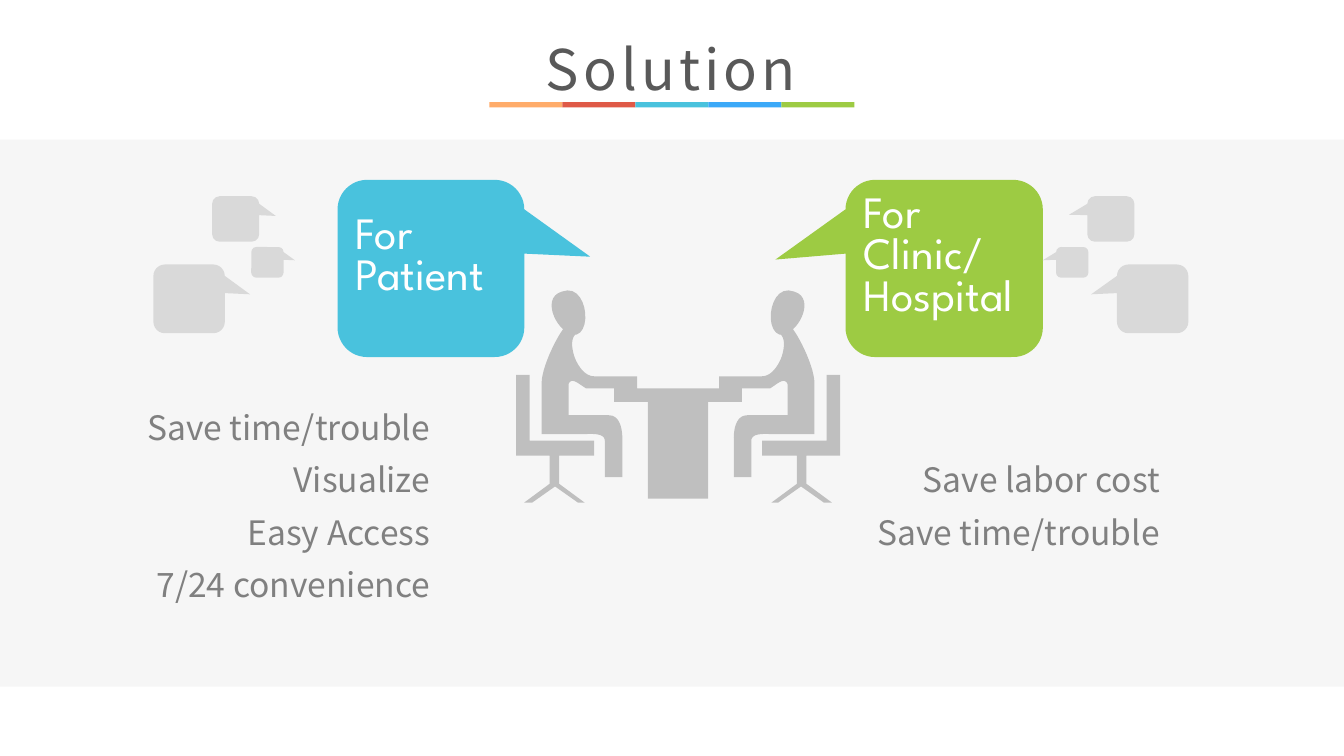
from dataclasses import dataclass

from pptx import Presentation
from pptx.dml.color import RGBColor
from pptx.enum.shapes import MSO_SHAPE as Preset
from pptx.enum.text import MSO_ANCHOR as Anchor, MSO_AUTO_SIZE as AutoSize, PP_ALIGN as Align
from pptx.shapes.autoshape import Shape
from pptx.slide import Slide
from pptx.text.text import TextFrame
from pptx.util import Cm, Pt

WHITE = RGBColor(0xFF, 0xFF, 0xFF)
BAND_GRAY = RGBColor(0xF6, 0xF6, 0xF6)
BUBBLE_GRAY = RGBColor(0xD9, 0xD9, 0xD9)
FIGURE_GRAY = RGBColor(0xBF, 0xBF, 0xBF)
TITLE_GRAY = RGBColor(0x59, 0x59, 0x59)
BODY_GRAY = RGBColor(0x80, 0x80, 0x80)
ORANGE = RGBColor(0xFF, 0xAC, 0x6A)
RED = RGBColor(0xDF, 0x59, 0x47)
TEAL = RGBColor(0x49, 0xC2, 0xDD)
BLUE = RGBColor(0x3B, 0xA9, 0xF8)
GREEN = RGBColor(0x9D, 0xCB, 0x43)

SLIDE_WIDTH = 25.4
STRIPE_WIDTH = 1.38
STRIPE_COLORS = (ORANGE, RED, TEAL, BLUE, GREEN)

Point = tuple[float, float]
OUTLINE_UNIT = Cm(2.54) / 100
MIRROR_SUM = 1009
CURVE_STEPS = 12

CHAIR = [
    (384, 279), (394, 279), (394, 328), (442, 328), (442, 339), (416, 339),
    (416, 360), (435, 374), (430, 374), (413, 362), (396, 374), (390, 374),
    (409, 360), (409, 339), (384, 339),
]
PERSON_AND_HALF_TABLE = [
    (474, 289), (474, 280), (442, 280),
    (436, 280, 431, 274, 428, 267), (426, 262, 424, 253, 428, 249), (429, 249),
    (441, 245, 436, 210, 418, 217), (405, 221, 411, 238, 419, 245),
    (413, 253, 403, 274, 403, 285), (403, 323), (435, 323),
    (440, 323, 450, 322, 450, 328), (450, 355), (463, 355), (463, 327),
    (463, 327, 464, 309, 453, 309), (423, 309), (423, 286),
    (423, 286, 424, 281, 430, 285), (436, 289), (457, 289), (457, 299),
    (482, 299), (482, 371),
]


@dataclass(frozen=True)
class Box:
    left: float
    top: float
    width: float
    height: float

    def lengths(self) -> tuple[Cm, Cm, Cm, Cm]:
        return Cm(self.left), Cm(self.top), Cm(self.width), Cm(self.height)


@dataclass(frozen=True)
class Bubble:
    box: Box
    tail_x: float
    tail_y: float = -0.066
    color: RGBColor = BUBBLE_GRAY
    lines: tuple[str, ...] = ()


@dataclass(frozen=True)
class TextStyle:
    font: str
    size: float
    color: RGBColor
    tracking: int = 0


TITLE_STYLE = TextStyle("Noto Sans CJK JP", 30, TITLE_GRAY, 220)
BUBBLE_STYLE = TextStyle("League Spartan", 24, WHITE)
BODY_STYLE = TextStyle("Noto Sans CJK SC", 18, BODY_GRAY)

BUBBLES = (
    Bubble(Box(6.38, 3.4, 3.53, 3.35), 0.853, color=TEAL, lines=("For", "Patient")),
    Bubble(Box(15.98, 3.4, 3.73, 3.35), -0.855, -0.05, GREEN, ("For", "Clinic/", "Hospital")),
    Bubble(Box(2.9, 5, 1.35, 1.3), 0.853),
    Bubble(Box(4.01, 3.71, 0.89, 0.86), 0.853),
    Bubble(Box(4.75, 4.67, 0.61, 0.58), 0.853),
    Bubble(Box(21.11, 5, 1.35, 1.3), -0.862),
    Bubble(Box(20.55, 3.71, 0.89, 0.86), -0.889, -0.093),
    Bubble(Box(19.96, 4.67, 0.61, 0.58), -0.916),
)
BENEFITS = (
    (Box(0.71, 7.34, 7.67, 4.27),
     ("Save time/trouble", "Visualize", "Easy Access", "7/24 convenience")),
    (Box(14.5, 8.33, 7.67, 2.26), ("Save labor cost", "Save time/trouble")),
)


def paint(shape: Shape, color: RGBColor) -> None:
    shape.shadow.inherit = False
    shape.fill.solid()
    shape.fill.fore_color.rgb = color
    shape.line.fill.background()


def add_rectangle(slide: Slide, box: Box, color: RGBColor) -> None:
    paint(slide.shapes.add_shape(Preset.RECTANGLE, *box.lengths()), color)


def write_lines(frame: TextFrame, lines: tuple[str, ...], style: TextStyle, align: Align,
                line_spacing: float | Pt = 1.0, gap: float = 0) -> None:
    for index, line in enumerate(lines):
        paragraph = frame.add_paragraph() if index else frame.paragraphs[0]
        paragraph.alignment = align
        paragraph.line_spacing = line_spacing
        paragraph.space_before = Pt(gap if index else 0)
        run = paragraph.add_run()
        run.text = line
        run.font.name = style.font
        run.font.size = Pt(style.size)
        run.font.color.rgb = style.color
        if style.tracking:
            run._r.get_or_add_rPr().set("spc", str(style.tracking))


def add_text(slide: Slide, box: Box, lines: tuple[str, ...], style: TextStyle, align: Align,
             line_spacing: float = 1.0, wrap: bool = True) -> None:
    frame = slide.shapes.add_textbox(*box.lengths()).text_frame
    frame.word_wrap = wrap
    frame.auto_size = AutoSize.SHAPE_TO_FIT_TEXT
    write_lines(frame, lines, style, align, line_spacing)


def add_bubble(slide: Slide, bubble: Bubble) -> None:
    shape = slide.shapes.add_shape(Preset.ROUNDED_RECTANGULAR_CALLOUT, *bubble.box.lengths())
    for index, value in enumerate((bubble.tail_x, bubble.tail_y, 0.167)):
        shape.adjustments[index] = value
    paint(shape, bubble.color)
    if bubble.lines:
        frame = shape.text_frame
        frame.word_wrap = True
        frame.vertical_anchor = Anchor.MIDDLE
        frame.margin_left = frame.margin_right = Cm(0.18)
        frame.margin_top = frame.margin_bottom = Cm(0.1)
        write_lines(frame, bubble.lines, BUBBLE_STYLE, Align.LEFT, Pt(11.2), 11.2)


def flatten(outline: list[tuple[float, ...]]) -> list[Point]:
    points: list[Point] = []
    for segment in outline:
        if len(segment) == 2:
            points.append(segment)
            continue
        start = points[-1]
        for step in range(1, CURVE_STEPS + 1):
            t = step / CURVE_STEPS
            weights = ((1 - t) ** 3, 3 * t * (1 - t) ** 2, 3 * t * t * (1 - t), t ** 3)
            x = sum(w * v for w, v in zip(weights, (start[0], *segment[::2])))
            y = sum(w * v for w, v in zip(weights, (start[1], *segment[1::2])))
            points.append((x, y))
    return points


def mirror(points: list[Point]) -> list[Point]:
    return [(MIRROR_SUM - x, y) for x, y in reversed(points)]


def add_meeting(slide: Slide) -> None:
    person = flatten(PERSON_AND_HALF_TABLE)
    contours = [
        [(x * OUTLINE_UNIT, y * OUTLINE_UNIT) for x, y in contour]
        for contour in (CHAIR, mirror(CHAIR), person + mirror(person))
    ]
    builder = slide.shapes.build_freeform(*contours[0][0])
    for index, contour in enumerate(contours):
        if index:
            builder.move_to(*contour[0])
        builder.add_line_segments(contour[1:], close=True)
    paint(builder.convert_to_shape(), FIGURE_GRAY)


def main() -> None:
    presentation = Presentation()
    presentation.slide_width, presentation.slide_height = Cm(SLIDE_WIDTH), Cm(14.29)
    slide = presentation.slides.add_slide(presentation.slide_layouts[6])

    stripes_left = (SLIDE_WIDTH - STRIPE_WIDTH * len(STRIPE_COLORS)) / 2
    for index, color in enumerate(STRIPE_COLORS):
        left = stripes_left + index * STRIPE_WIDTH
        add_rectangle(slide, Box(left, 1.93, STRIPE_WIDTH, 0.1), color)
    add_rectangle(slide, Box(0, 2.64, SLIDE_WIDTH, 10.34), BAND_GRAY)
    add_text(slide, Box(9.98, 0.53, 5.41, 1.55), ("Solution",), TITLE_STYLE, Align.CENTER, wrap=False)
    add_meeting(slide)
    for bubble in BUBBLES:
        add_bubble(slide, bubble)
    for box, lines in BENEFITS:
        add_text(slide, box, lines, BODY_STYLE, Align.RIGHT, 1.3)
    presentation.save("out.pptx")


if __name__ == "__main__":
    main()
